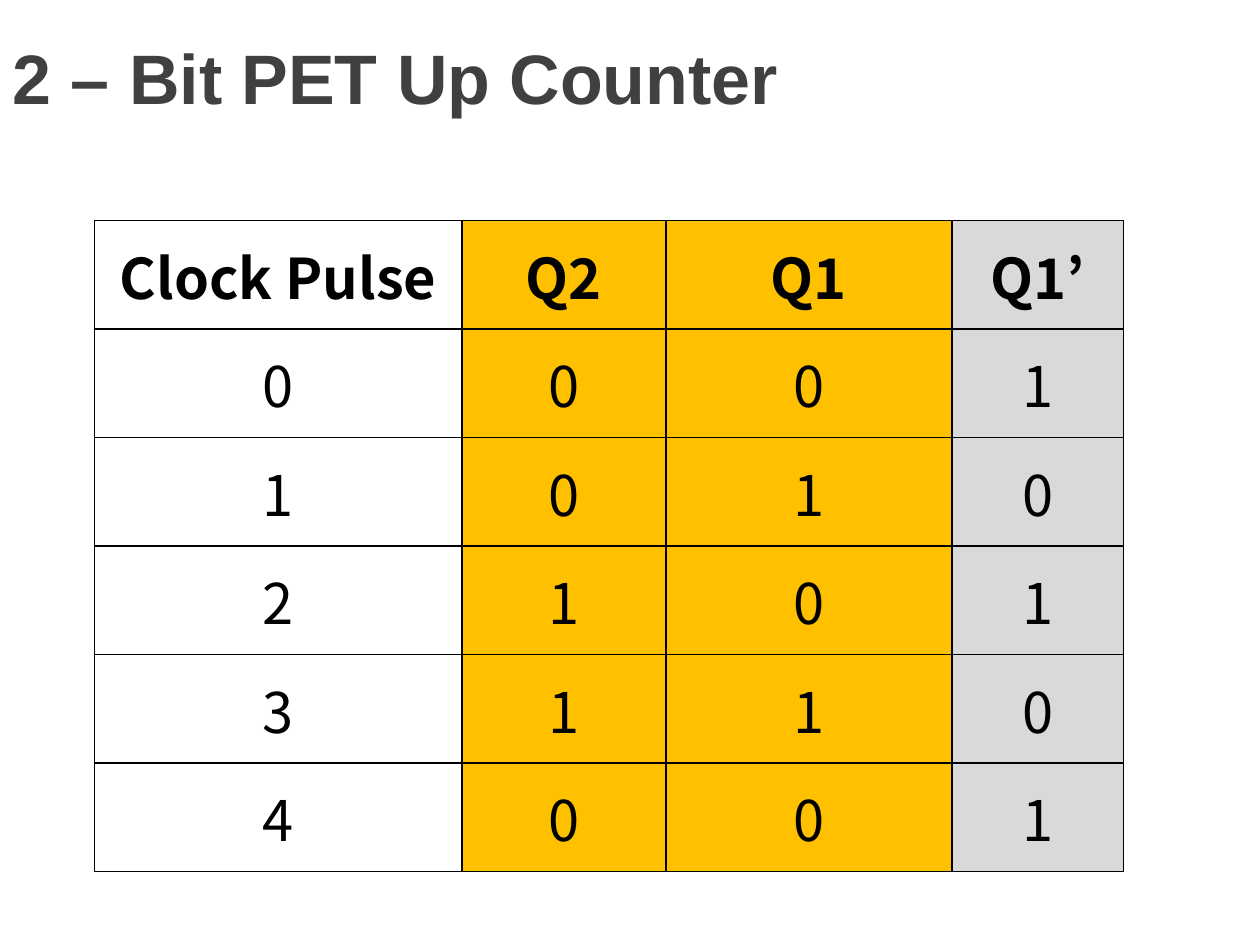
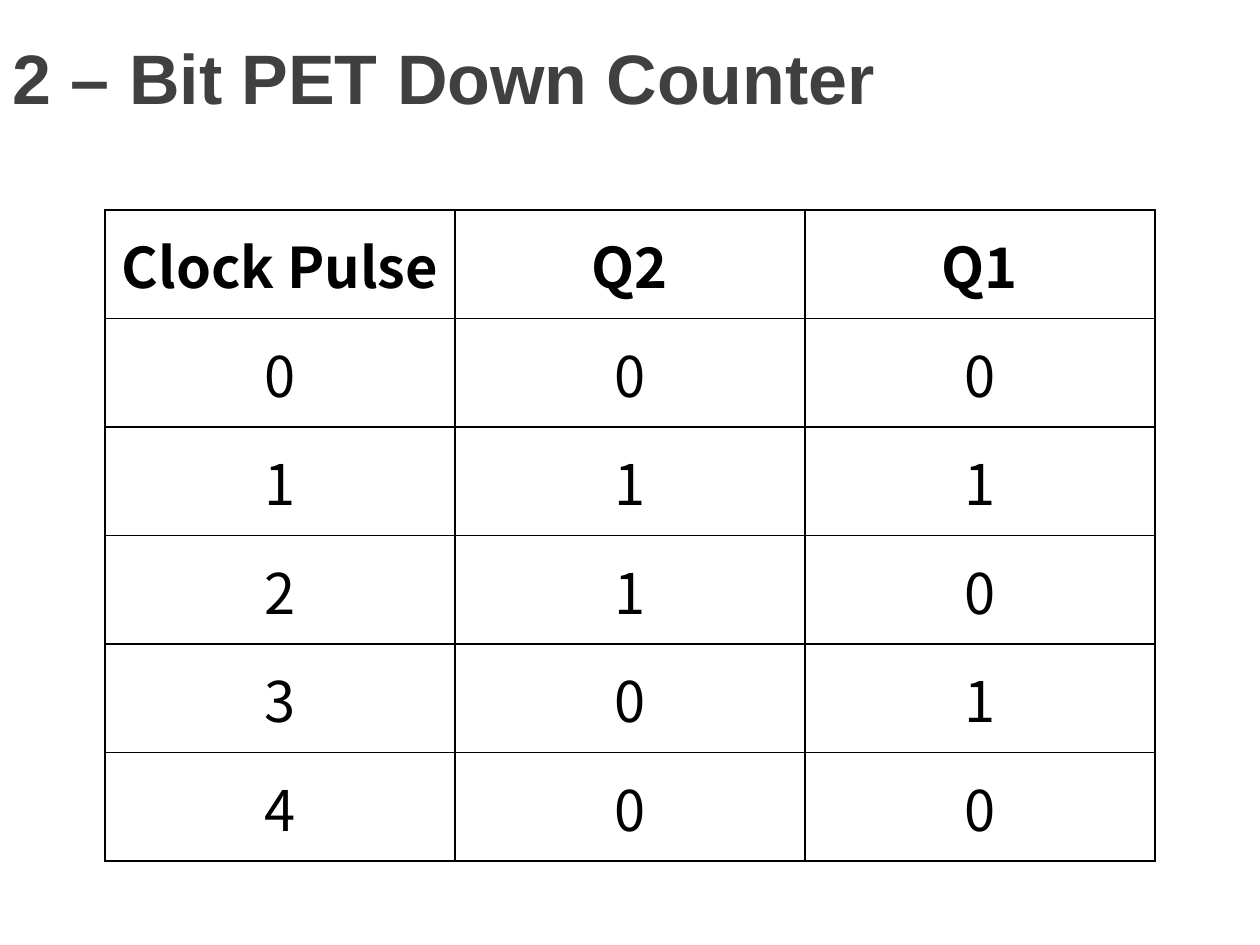
import pptx
import pptx.dml.color
import pptx.enum.text
import pptx.oxml
import pptx.oxml.ns
import pptx.util

Pt = pptx.util.Pt
ALIGN = pptx.enum.text.PP_ALIGN
MIDDLE = pptx.enum.text.MSO_ANCHOR.MIDDLE
INK, BLACK, WHITE, GOLD, GREY = "404040", "000000", "FFFFFF", "FFC000", "D9D9D9"
TITLE = (0, 1.5, 720, 84)
ROW = 62


def color(code):
    """Turn a hex string into a colour."""
    return pptx.dml.color.RGBColor.from_string(code)


def write(frame, text, font="Noto Sans CJK KR", size=32, ink=BLACK, bold=False, align=ALIGN.CENTER):
    """Put one formatted line of text in a frame."""
    line = frame.paragraphs[0]
    line.alignment = align
    run = line.add_run()
    run.text = text
    run.font.name, run.font.size, run.font.bold = font, Pt(size), bold
    run.font.color.rgb = color(ink)


def edge(cell):
    """Draw a thin black line on each side of a cell."""
    for side in ("lnL", "lnR", "lnT", "lnB"):
        cell._tc.get_or_add_tcPr().append(pptx.oxml.parse_xml(
            f'<a:{side} {pptx.oxml.ns.nsdecls("a")} w="{Pt(1)}"><a:solidFill>'
            f'<a:srgbClr val="{BLACK}"/></a:solidFill></a:{side}>'))


def head(slide, text, box):
    """Place and fill the title."""
    title = slide.shapes.title
    title.left, title.top, title.width, title.height = map(Pt, box)
    frame = title.text_frame
    frame.word_wrap = True
    frame.vertical_anchor = MIDDLE
    write(frame, text, font="Arial", size=40, ink=INK, bold=True, align=ALIGN.LEFT)


def grid(slide, rows, left, top, widths, fills):
    """Build a table of counter states with one fill per column."""
    size = (left, top, sum(widths), ROW * len(rows))
    table = slide.shapes.add_table(len(rows), len(widths), *map(Pt, size)).table
    table.horz_banding = False
    for col, width in zip(table.columns, widths):
        col.width = Pt(width)
    for r, row in enumerate(rows):
        table.rows[r].height = Pt(ROW)
        for c, (text, fill) in enumerate(zip(row, fills)):
            cell = table.cell(r, c)
            cell.vertical_anchor = MIDDLE
            edge(cell)
            if fill:
                cell.fill.solid()
                cell.fill.fore_color.rgb = color(fill)
            else:
                cell.fill.background()
            write(cell.text_frame, text, bold=r == 0)


def count(deck, text, names, states, left, top, widths, fills):
    """Add a counter slide with a title and a table of states."""
    slide = deck.slides.add_slide(deck.slide_layouts[5])
    slide.background.fill.solid()
    slide.background.fill.fore_color.rgb = color(WHITE)
    head(slide, text, TITLE)
    rows = [["Clock Pulse", *names]]
    rows += [[str(pulse), *bits] for pulse, bits in enumerate(states)]
    grid(slide, rows, left, top, widths, fills)


def main():
    """Build and save the deck."""
    deck = pptx.Presentation()
    deck.slide_width, deck.slide_height = Pt(720), Pt(540)
    count(deck, "2 – Bit PET Up Counter", ["Q2", "Q1", "Q1’"],
          ["001", "010", "101", "110", "001"],
          54, 126, [210, 116.5, 163.5, 98], [None, GOLD, GOLD, GREY])
    count(deck, "2 – Bit PET Down Counter", ["Q2", "Q1"],
          ["00", "11", "10", "01", "00"],
          60, 120, [200] * 3, [None] * 3)
    deck.save("out.pptx")


if __name__ == "__main__":
    main()
